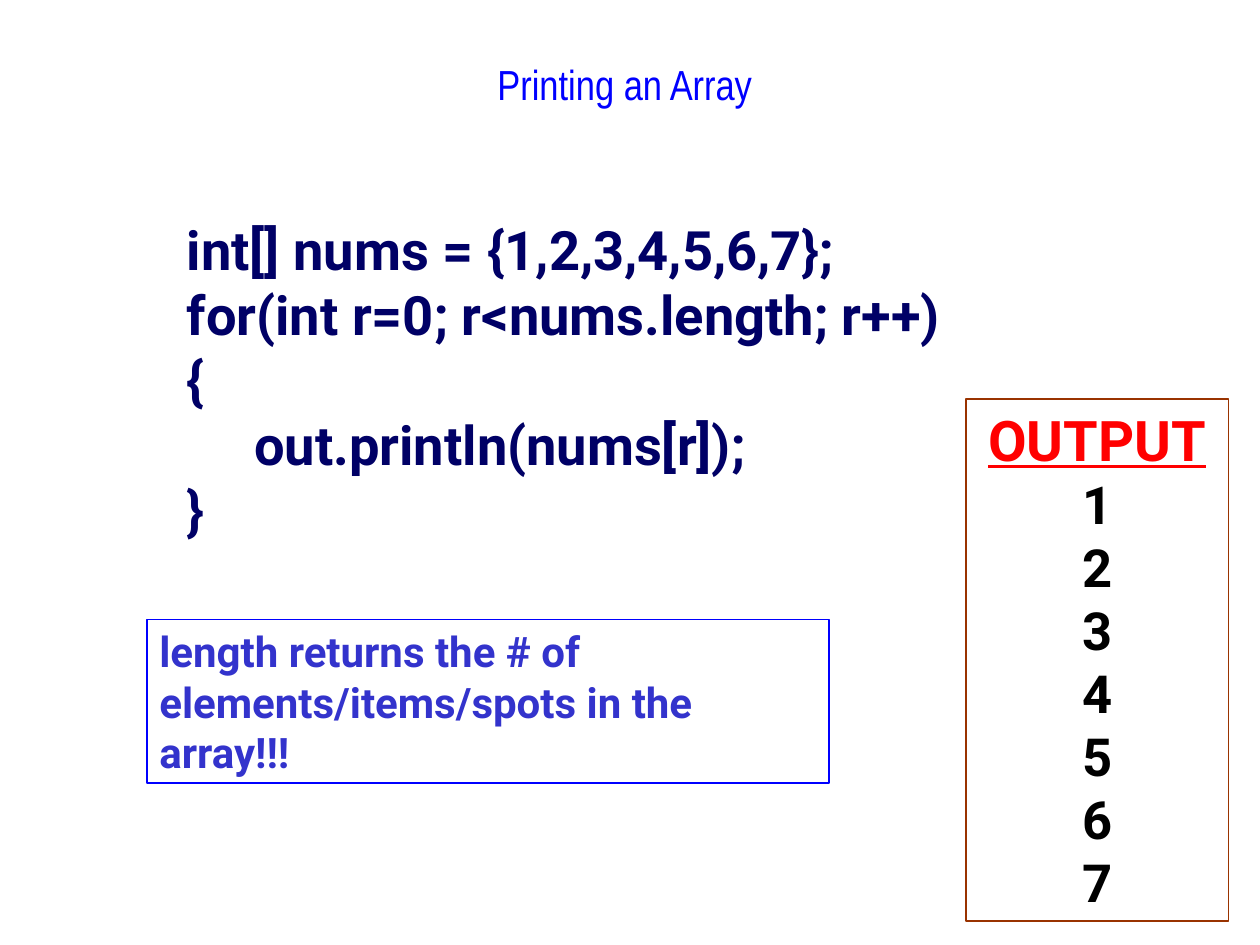
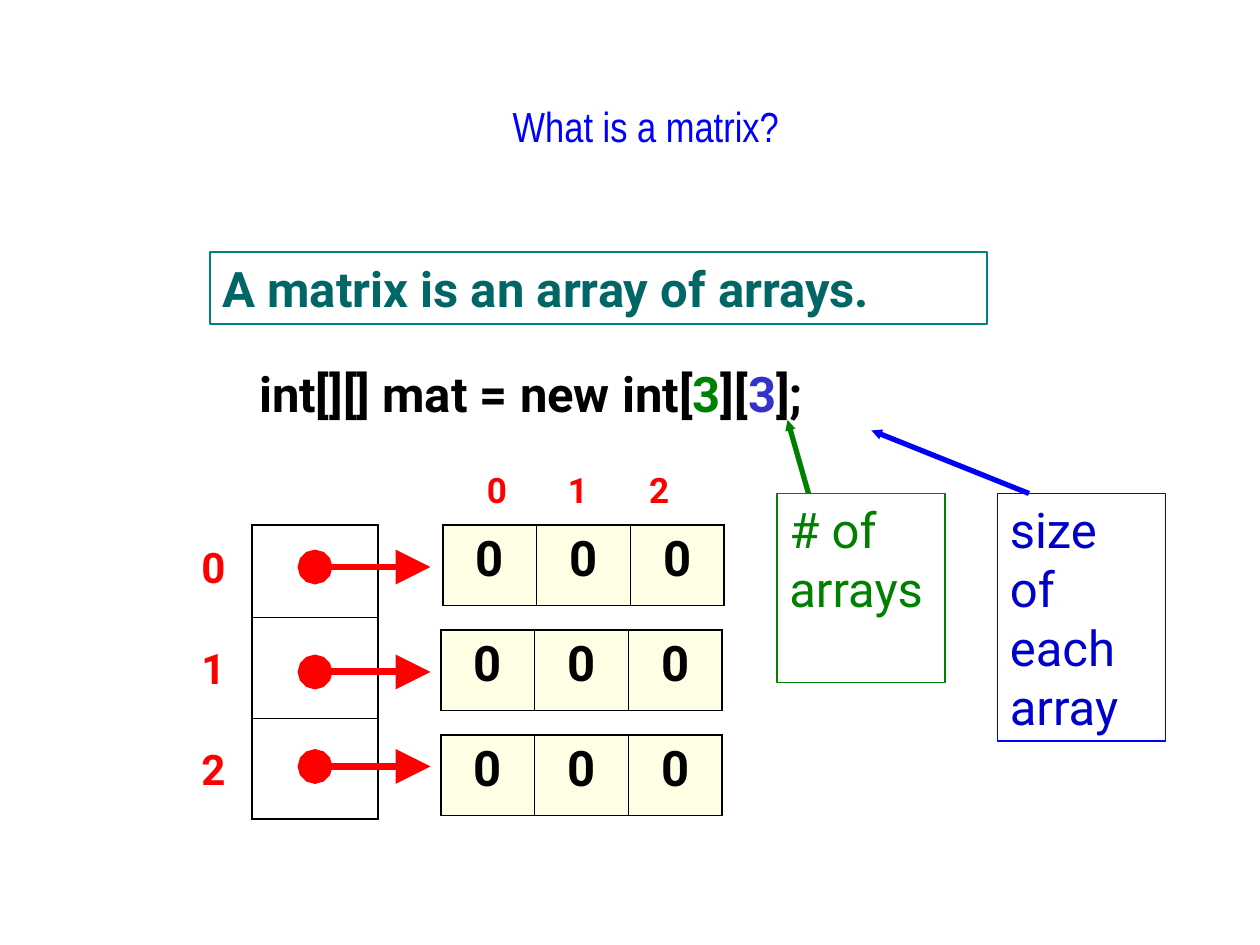
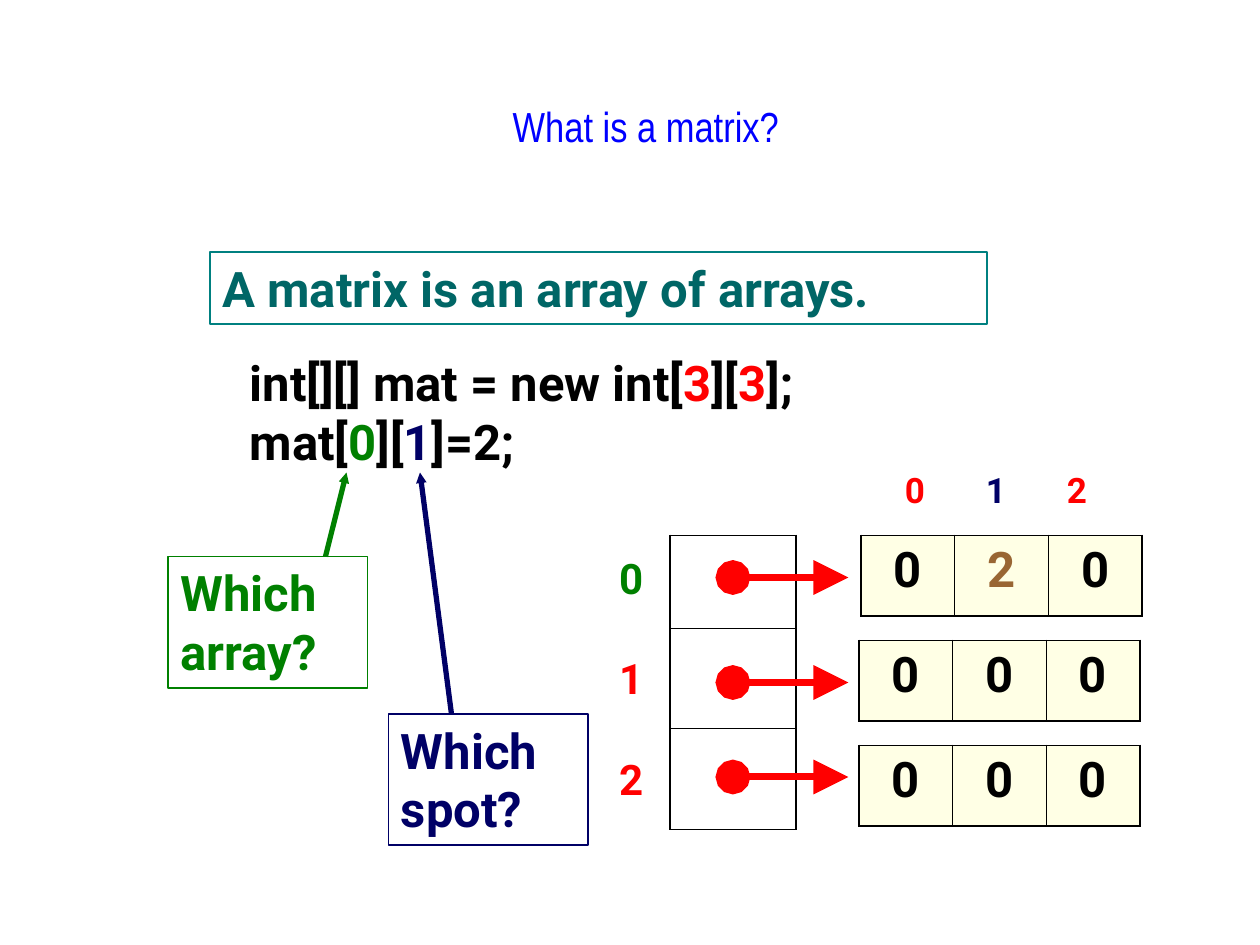
from dataclasses import dataclass, replace

from lxml import etree
from pptx import Presentation
from pptx.dml.color import RGBColor
from pptx.enum.shapes import MSO_CONNECTOR, MSO_SHAPE
from pptx.enum.text import MSO_ANCHOR, MSO_AUTO_SIZE, PP_ALIGN
from pptx.oxml.ns import qn
from pptx.util import Inches, Pt

RECT = MSO_SHAPE.RECTANGLE
STRAIGHT = MSO_CONNECTOR.STRAIGHT
TOP = MSO_ANCHOR.TOP
LEFT, CENTER = PP_ALIGN.LEFT, PP_ALIGN.CENTER

# Grid: 120 columns by 90 rows over a 10 x 7.5 inch slide
SLIDE_W, SLIDE_H = Inches(10), Inches(7.5)
UNIT = SLIDE_W // 120

# Colours
BLACK, RED, GREEN, BLUE, NAVY = "000000", "FF0000", "008000", "0000FF", "000066"
INDIGO, ROYAL, TEAL, DARK_TEAL = "3333CC", "0000CC", "008080", "006666"
RUST, BROWN, CREAM = "993300", "996633", "FFFFCC"

# Matrix drawing, in grid units
ARRAY_ROWS = (8.8, 9.6, 9.6)
CELL_W, CELL_H, ROW_PITCH = 8.92, 7.68, 10
ARROW_ROWS = (4, 14, 23)
HEADER_ROW, HEADER_PITCH = 44, 7.72
OUTER, INNER = 1.08, 0.45

Part = tuple[str, str]
Line = str | list[Part]


@dataclass(frozen=True)
class Area:
    col: float
    row: float
    cols: float
    rows: float

    def emu(self) -> list[int]:
        return [units(n) for n in (self.col, self.row, self.cols, self.rows)]


@dataclass(frozen=True)
class Style:
    size: float
    color: str = BLACK
    bold: bool = True
    font: str = "Roboto"
    align: PP_ALIGN = LEFT
    gap: float = 0


@dataclass(frozen=True)
class Callout:
    area: Area
    lines: list[Line]
    style: Style
    border: str
    start: tuple[float, float] | None = None
    tip: tuple[float, float] | None = None


TITLE = Style(24, BLUE, False, "Arial Narrow", CENTER)
CODE = Style(28)
CELL = Style(28, align=CENTER)
ROW_LABEL = Style(24, RED, gap=28.8)
COL_LABEL = Style(20, RED)


def units(n: float) -> int:
    return round(n * UNIT)


def rgb(color: str) -> RGBColor:
    return RGBColor.from_string(color)


# Text
def write(tf, lines: list[Line], style: Style, tabs: tuple[float, ...] = ()) -> None:
    for i, line in enumerate(lines):
        p = tf.add_paragraph() if i else tf.paragraphs[0]
        p.alignment = style.align
        if i and style.gap:
            p.space_before = Pt(style.gap)
        if tabs:
            tab_list = etree.SubElement(p._p.get_or_add_pPr(), qn("a:tabLst"))
            for stop in tabs:
                etree.SubElement(tab_list, qn("a:tab"), pos=str(units(stop)), algn="l")
        parts = [(line, style.color)] if isinstance(line, str) else line
        for text, color in parts:
            r = p.add_run()
            r.text = text
            r.font.name, r.font.size, r.font.bold = style.font, Pt(style.size), style.bold
            r.font.color.rgb = rgb(color)


def prepare(tf) -> None:
    tf.word_wrap = True
    tf.auto_size = MSO_AUTO_SIZE.NONE
    tf.vertical_anchor = TOP


def add_titled_slide(prs, title: str, area: Area):
    slide = prs.slides.add_slide(prs.slide_layouts[5])
    sp = slide.shapes.title
    sp.left, sp.top, sp.width, sp.height = area.emu()
    prepare(sp.text_frame)
    write(sp.text_frame, [title], TITLE)
    return slide


def add_text(slide, area: Area, lines: list[Line], style: Style,
             tabs: tuple[float, ...] = ()) -> None:
    tf = slide.shapes.add_textbox(*area.emu()).text_frame
    prepare(tf)
    write(tf, lines, style, tabs)


# Boxes and arrows
def add_arrow(slide, start: tuple[float, float], end: tuple[float, float],
              color: str, width: float, size: str, dot: bool = False) -> None:
    line = slide.shapes.add_connector(STRAIGHT, *[units(n) for n in start + end])
    line.line.color.rgb = rgb(color)
    line.line.width = Pt(width)
    ln = line.line._get_or_add_ln()
    if dot:
        etree.SubElement(ln, qn("a:headEnd"), type="oval", w=size, len=size)
    etree.SubElement(ln, qn("a:tailEnd"), type="triangle", w=size, len=size)
    etree.SubElement(line._element.spPr, qn("a:effectLst"))


def add_callout(slide, box: Callout) -> None:
    sp = slide.shapes.add_shape(RECT, *box.area.emu())
    sp.shadow.inherit = False
    sp.fill.background()
    sp.line.color.rgb = rgb(box.border)
    sp.line.width = Pt(1)
    prepare(sp.text_frame)
    write(sp.text_frame, box.lines, box.style)
    if box.start and box.tip:
        add_arrow(slide, box.start, box.tip, box.border, 3, "sm")


# Tables
def set_borders(cell, widths: dict[str, float]) -> None:
    tc_pr = cell._tc.get_or_add_tcPr()
    for i, side in enumerate("LRTB"):
        ln = etree.Element(qn(f"a:ln{side}"), w=str(Pt(widths[side])))
        fill = etree.SubElement(ln, qn("a:solidFill"))
        etree.SubElement(fill, qn("a:srgbClr"), val=BLACK)
        tc_pr.insert(i, ln)


def add_grid(slide, col: float, row: float, widths: tuple[float, ...],
             heights: tuple[float, ...], values: list[Part] | None = None) -> None:
    area = Area(col, row, sum(widths), sum(heights))
    table = slide.shapes.add_table(len(heights), len(widths), *area.emu()).table
    table.first_row = table.horz_banding = False
    for column, width in zip(table.columns, widths):
        column.width = units(width)
    for i, height in enumerate(heights):
        table.rows[i].height = units(height)
        for j in range(len(widths)):
            cell = table.cell(i, j)
            if values:
                cell.fill.solid()
                cell.fill.fore_color.rgb = rgb(CREAM)
                color = cell._tc.tcPr.find(".//" + qn("a:srgbClr"))
                etree.SubElement(color, qn("a:alpha"), val="50000")
                write(cell.text_frame, [[values[j]]], CELL)
            else:
                cell.fill.background()
            set_borders(cell, {
                "L": INNER if j else OUTER,
                "R": OUTER if j == len(widths) - 1 else INNER,
                "T": INNER if i else OUTER,
                "B": OUTER if i == len(heights) - 1 else INNER,
            })


def add_matrix(slide, col: float, row: float, first_row: list[Part],
               row_colors: tuple[str, ...], col_colors: tuple[str, ...]) -> None:
    """Draw an array of three references, each pointing at a row of cells."""
    zeros = [("0", BLACK)] * 3
    for i, values in enumerate((first_row, zeros, zeros)):
        nudge = 0 if i else 0.2
        add_grid(slide, col + 18 + nudge, row + i * ROW_PITCH,
                 (CELL_W,) * 3, (CELL_H,), values)
    add_grid(slide, col, row, (12,), ARRAY_ROWS)
    for offset in ARROW_ROWS:
        y = row + offset
        add_arrow(slide, (col + 6, y), (col + 17, y), RED, 4, "lg", dot=True)
    row_labels = [[(str(i), color)] for i, color in enumerate(row_colors)]
    add_text(slide, Area(col - 6, row + 1, 6, 25.2), row_labels, ROW_LABEL)
    col_labels = [(f"\t{i}" if i else "0", color) for i, color in enumerate(col_colors)]
    add_text(slide, Area(col + 21.2, HEADER_ROW, 20.4, 5.28), [col_labels], COL_LABEL,
             (HEADER_PITCH, 2 * HEADER_PITCH))


def add_matrix_slide(prs):
    slide = add_titled_slide(prs, "What is a matrix?", Area(16, 9, 91, 12))
    add_callout(slide, Callout(Area(20, 24, 74, 6.84), ["A matrix is an array of arrays."],
                               replace(CODE, color=DARK_TEAL), TEAL))
    return slide


def declaration(first: str, second: str) -> list[Part]:
    return [("int[][] mat = new int[", BLACK), ("3", first), ("][", BLACK),
            ("3", second), ("];", BLACK)]


# Slides
def build_printing(prs) -> None:
    slide = add_titled_slide(prs, "Printing an Array", Area(13, 5, 93, 11))
    code = [
        "int[] nums = {1,2,3,4,5,6,7};",
        "for(int r=0; r<nums.length; r++)",
        "{",
        "     out.println(nums[r]);",
        "}",
    ]
    add_text(slide, Area(16.6, 20, 82, 38.4), code, Style(31, NAVY))

    output = Callout(Area(92, 38, 25, 49.7), ["OUTPUT", *"1234567"],
                     Style(30, align=CENTER), RUST)
    add_callout(slide, output)
    heading = slide.shapes[-1].text_frame.paragraphs[0].runs[0].font
    heading.size, heading.underline = Pt(32), True
    heading.color.rgb = rgb(RED)

    note = ["length returns the # of", "elements/items/spots in the array!!!"]
    add_callout(slide, Callout(Area(14, 59, 65, 15.6), note, Style(24, INDIGO), BLUE))


def build_sizes(prs) -> None:
    slide = add_matrix_slide(prs)
    add_text(slide, Area(23.5, 34, 61, 6.84), [declaration(GREEN, INDIGO)], CODE)
    add_matrix(slide, 24, 50, [("0", BLACK)] * 3, (RED,) * 3, (RED,) * 3)
    for box in (
        Callout(Area(74, 47, 16, 18), ["# of arrays"], Style(28, GREEN, False), GREEN,
                (77, 47), (75, 40)),
        Callout(Area(95, 47, 16, 23.6), ["size of each array"], Style(28, ROYAL, False), BLUE,
                (98, 47), (83, 41)),
    ):
        add_callout(slide, box)


def build_assignment(prs) -> None:
    slide = add_matrix_slide(prs)
    assignment = [("mat[", BLACK), ("0", GREEN), ("][", BLACK), ("1", NAVY), ("]=2;", BLACK)]
    add_text(slide, Area(22.6, 33, 61, 12.5), [declaration(RED, RED), assignment], CODE)
    add_matrix(slide, 63.8, 51, [("0", BLACK), ("2", BROWN), ("0", BLACK)],
               (GREEN, RED, RED), (RED, NAVY, RED))
    for box in (
        Callout(Area(16, 53, 19, 12.5), ["Which", "array?"], Style(28, GREEN), GREEN,
                (31, 53), (33, 45)),
        Callout(Area(37, 68, 19, 12.5), ["Which", "spot?"], Style(28, NAVY), NAVY,
                (43, 68), (40, 45)),
    ):
        add_callout(slide, box)


def main() -> None:
    prs = Presentation()
    prs.slide_width, prs.slide_height = SLIDE_W, SLIDE_H
    build_printing(prs)
    build_sizes(prs)
    build_assignment(prs)
    prs.save("out.pptx")


if __name__ == "__main__":
    main()
